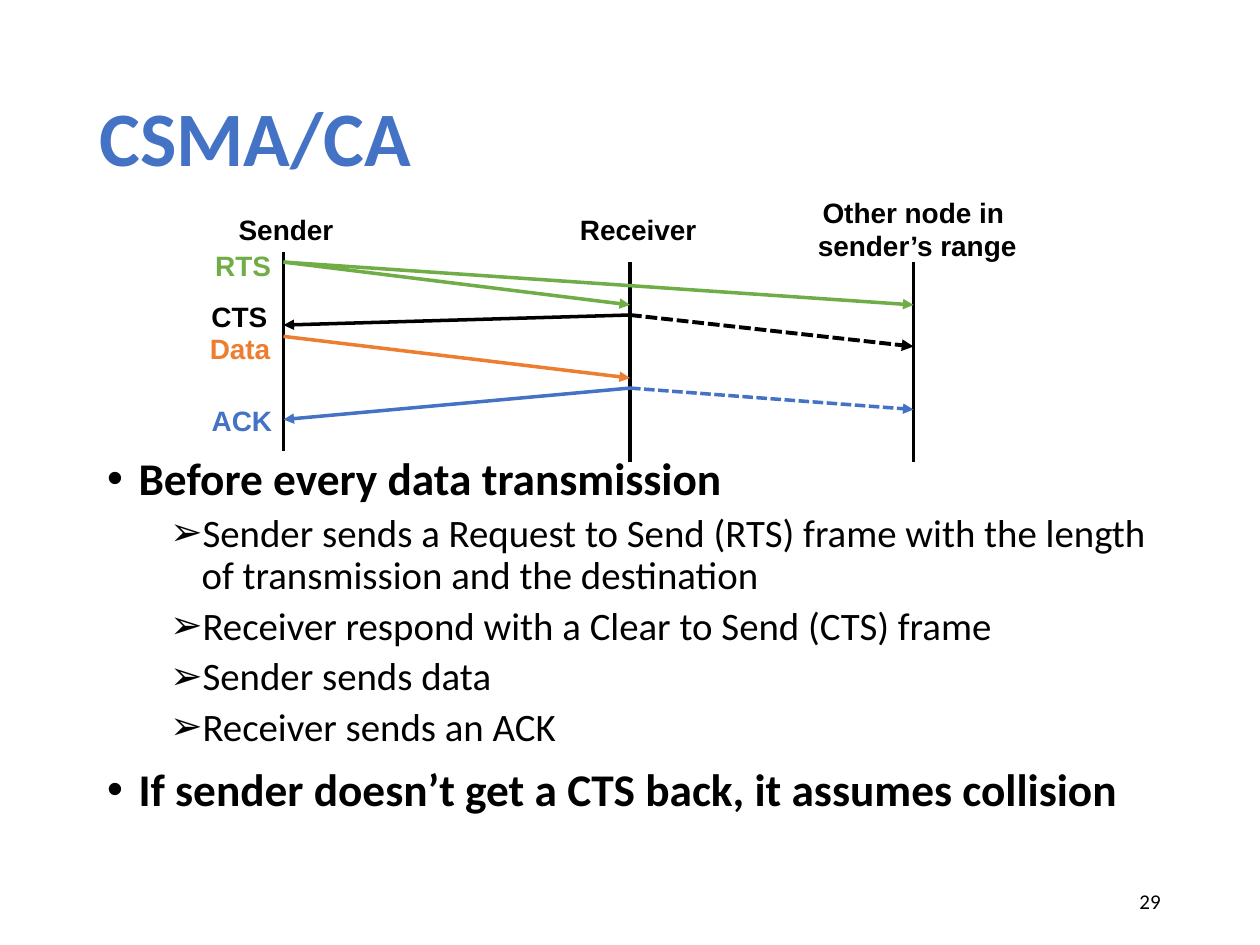
from lxml import etree
from pptx import Presentation
from pptx.dml.color import RGBColor
from pptx.enum.dml import MSO_LINE
from pptx.enum.shapes import MSO_CONNECTOR
from pptx.enum.text import MSO_ANCHOR, MSO_AUTO_SIZE, PP_ALIGN
from pptx.oxml.ns import qn
from pptx.util import Inches, Pt

COLORS = {"black": "000000", "blue": "4472C4", "green": "70AD47", "orange": "ED7D31"}
SENDER, RECEIVER, OTHER = 2.25, 5, 7.25  # timeline positions

# Timelines: x, top, bottom
TIMELINES = [(SENDER, 2, 3.58), (RECEIVER, 2.08, 3.67), (OTHER, 2.08, 3.67)]

# Node names: text, box
NODES = [
    ("Sender", (1.79, 1.64, 0.96, 0.37)),
    ("Receiver", (4.5, 1.64, 1.13, 0.37)),
    ("Other node in \nsender’s range", (6.38, 1.5, 1.8, 0.64)),
]

# Frames: name, colour, label box, arrows (start, end, width, dashed)
FRAMES = [
    ("RTS", "green", (1.61, 1.92, 0.64, 0.36),
     [((SENDER, 2.08), (OTHER, 2.42), 2, False),
      ((SENDER, 2.08), (RECEIVER, 2.42), 2, False)]),
    ("ACK", "blue", (1.58, 3.15, 0.68, 0.37),
     [((RECEIVER, 3.08), (SENDER, 3.33), 2, False),
      ((RECEIVER, 3.08), (OTHER, 3.25), 2, True)]),
    ("Data", "orange", (1.56, 2.58, 0.69, 0.37),
     [((SENDER, 2.67), (RECEIVER, 3), 2, False)]),
    ("CTS", "black", (1.58, 2.33, 0.64, 0.36),
     [((RECEIVER, 2.5), (SENDER, 2.58), 2, False),
      ((RECEIVER, 2.5), (OTHER, 2.75), 2.25, True)]),
]

# Body list: level, text
BODY = [
    (0, "Before every data transmission "),
    (1, "Sender sends a Request to Send (RTS) frame with the length of "
        "transmission and the destination"),
    (1, "Receiver respond with a Clear to Send (CTS) frame"),
    (1, "Sender sends data"),
    (1, "Receiver sends an ACK"),
    (0, "If sender doesn’t get a CTS back, it assumes collision "),
]
# Level style: bullet, left indent, size, bold, space before
LEVELS = [("•", 0.25, 25.9, True, 10), ("➢", 0.75, 22.2, False, 5)]


def place(shape, box):
    shape.left, shape.top, shape.width, shape.height = map(Inches, box)


def set_font(font, name, size, color, bold=False):
    font.name, font.size, font.bold = name, Pt(size), bold
    font.color.rgb = RGBColor.from_string(COLORS[color])


def add_label(slide, text, box, color="black"):
    label = slide.shapes.add_textbox(*map(Inches, box))
    frame = label.text_frame
    frame.word_wrap = False
    frame.text = text
    for paragraph in frame.paragraphs:
        paragraph.alignment = PP_ALIGN.CENTER
        set_font(paragraph.runs[0].font, "Arial", 16, color, True)


def add_line(slide, start, end, color="black", width=2, dashed=False, arrow=False):
    line = slide.shapes.add_connector(
        MSO_CONNECTOR.STRAIGHT, *map(Inches, (*start, *end)))
    line.line.color.rgb = RGBColor.from_string(COLORS[color])
    line.line.width = Pt(width)
    if dashed:
        line.line.dash_style = MSO_LINE.SQUARE_DOT
    if arrow:
        etree.SubElement(line.line._get_or_add_ln(), qn("a:tailEnd"), type="triangle")
    etree.SubElement(line._element.spPr, qn("a:effectLst"))


def set_bullet(paragraph, char, left):
    props = paragraph._p.get_or_add_pPr()
    props.set("marL", str(Inches(left)))
    props.set("indent", str(Inches(-0.25)))
    etree.SubElement(props, qn("a:buFont"), typeface="Arial")
    etree.SubElement(props, qn("a:buChar"), char=char)


def fill_title(title):
    place(title, (0.69, 0.4, 8.62, 1.45))
    frame = title.text_frame
    frame.text = "CSMA/CA"
    frame.auto_size = MSO_AUTO_SIZE.NONE
    frame.vertical_anchor = MSO_ANCHOR.MIDDLE
    paragraph = frame.paragraphs[0]
    paragraph.alignment = PP_ALIGN.LEFT
    paragraph.line_spacing = 0.9
    set_font(paragraph.runs[0].font, "Calibri", 44, "blue", True)


def fill_body(body):
    place(body, (0.75, 3.57, 8.67, 3.02))
    frame = body.text_frame
    frame.text = "\n".join(text for _, text in BODY)
    frame.auto_size = MSO_AUTO_SIZE.NONE
    for paragraph, (level, _) in zip(frame.paragraphs, BODY):
        char, left, size, bold, before = LEVELS[level]
        paragraph.level = level
        paragraph.line_spacing = 0.9
        paragraph.space_before = Pt(before)
        set_bullet(paragraph, char, left)
        set_font(paragraph.runs[0].font, "Calibri", size, "black", bold)


def add_page_number(slide, number):
    box = slide.shapes.add_textbox(*map(Inches, (7.06, 6.95, 2.25, 0.4)))
    frame = box.text_frame
    frame.word_wrap = True
    frame.vertical_anchor = MSO_ANCHOR.MIDDLE
    frame.text = number
    frame.paragraphs[0].alignment = PP_ALIGN.RIGHT
    set_font(frame.paragraphs[0].runs[0].font, "Calibri", 12, "black")


def main():
    prs = Presentation()
    prs.slide_width, prs.slide_height = Inches(10), Inches(7.5)
    slide = prs.slides.add_slide(prs.slide_layouts[1])
    fill_title(slide.shapes.title)
    fill_body(slide.placeholders[1])

    # Sequence diagram
    for x, top, bottom in TIMELINES:
        add_line(slide, (x, top), (x, bottom))
    for text, box in NODES:
        add_label(slide, text, box)
    for name, color, box, arrows in FRAMES:
        for start, end, width, dashed in arrows:
            add_line(slide, start, end, color, width, dashed, arrow=True)
        add_label(slide, name, box, color)

    add_page_number(slide, "29")
    prs.save("out.pptx")


main()
